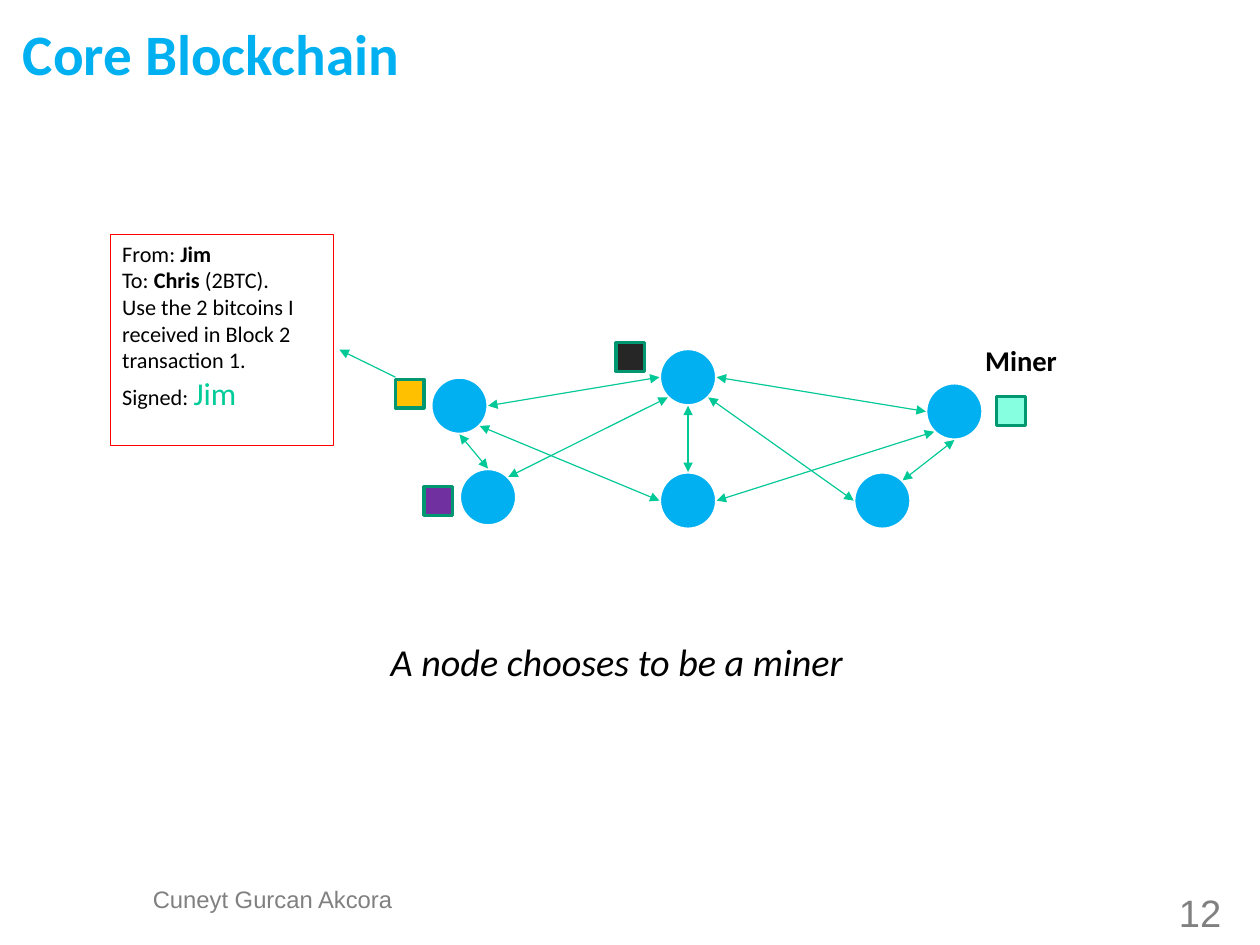
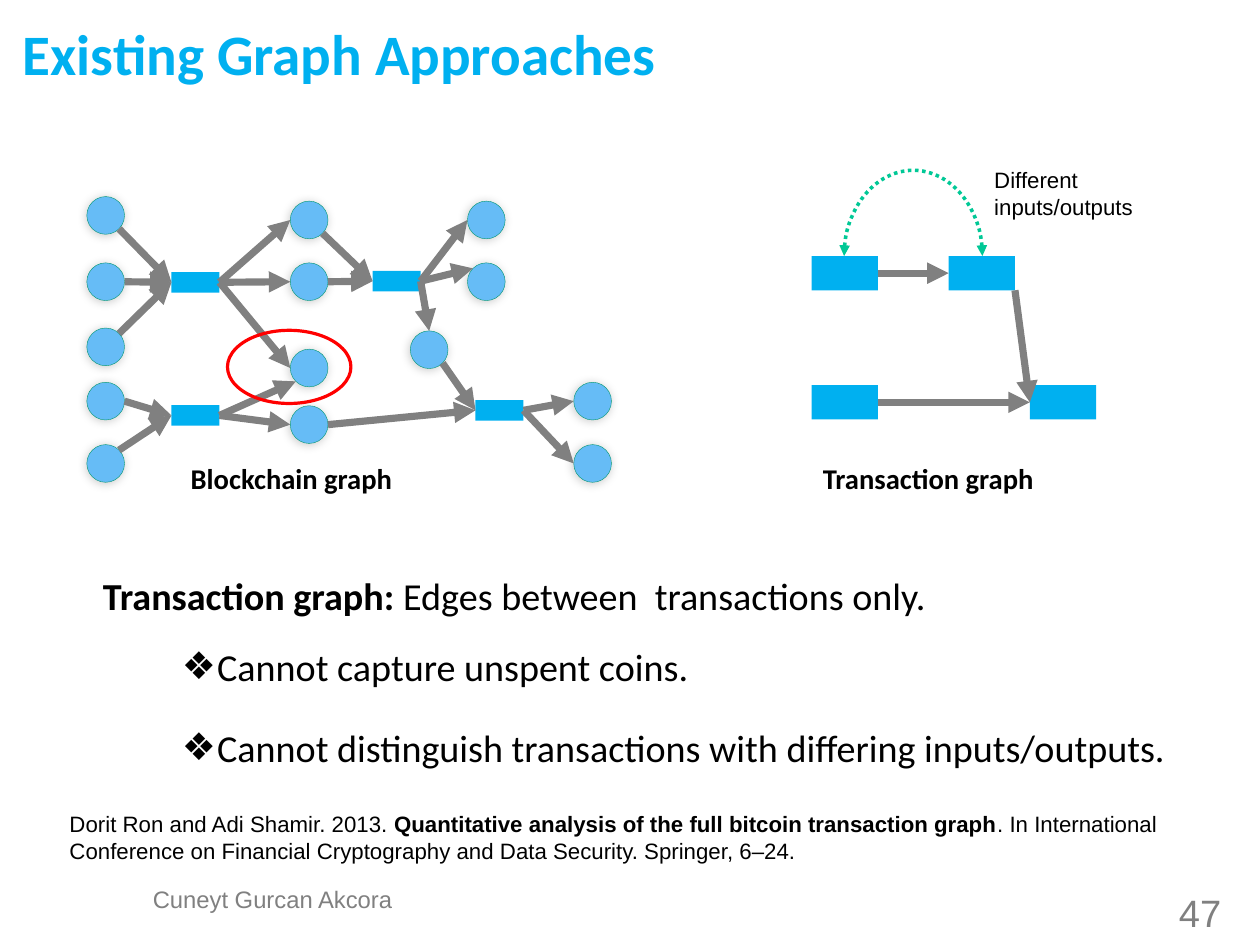
from dataclasses import dataclass
from enum import Enum
from math import hypot
from typing import NamedTuple

from lxml.etree import SubElement
from pptx import Presentation
from pptx.dml.color import RGBColor
from pptx.enum.dml import MSO_LINE
from pptx.enum.shapes import MSO_CONNECTOR, MSO_SHAPE
from pptx.enum.text import MSO_ANCHOR, MSO_AUTO_SIZE, PP_ALIGN
from pptx.oxml.ns import qn
from pptx.util import Cm, Inches, Pt


@dataclass(frozen=True)
class Theme:
    blue: str = "00B0F0"
    sky: str = "66BCF6"
    green: str = "00C896"
    signature: str = "00CC99"
    dark_green: str = "009771"
    grey: str = "808080"
    red: str = "FF0000"
    black: str = "000000"
    white: str = "FFFFFF"
    heading_font: str = "Calibri"
    plain_font: str = "Arial"
    title: int = 36
    body: int = 24
    signed: int = 20
    caption: int = 18
    footer: int = 15
    small: int = 14


THEME = Theme()
TITLE_ONLY, TITLE_AND_BODY = 5, 1


def cells(count: float) -> int:
    """Length of a number of grid cells; ten cells make an inch."""
    return Inches(count / 10)


class Area(NamedTuple):
    column: float
    row: float
    columns: float
    rows: float

    def lengths(self) -> list[int]:
        return [cells(value) for value in self]


def centred(column: float, row: float, columns: float, rows: float) -> Area:
    return Area(column - columns / 2, row - rows / 2, columns, rows)


class Span(NamedTuple):
    text: str
    size: int = THEME.body
    bold: bool = False
    italic: bool = False
    color: str = THEME.black
    font: str = THEME.heading_font


class Outline(NamedTuple):
    color: str
    points: float


class Port(Enum):
    """Direction from the middle of a node to a point on its outline."""
    N = (0, -1)
    NE = (1, -1)
    E = (1, 0)
    SE = (1, 1)
    S = (0, 1)
    SW = (-1, 1)
    W = (-1, 0)
    NW = (-1, -1)


RECTANGLE_SITES = {Port.N: 0, Port.W: 1, Port.S: 2, Port.E: 3}


class Edge(NamedTuple):
    start: str
    start_port: Port
    end: str
    end_port: Port


def color_of(value: str) -> RGBColor:
    return RGBColor.from_string(value)


def write_spans(paragraph, spans: list[Span]) -> None:
    for span in spans:
        run = paragraph.add_run()
        run.text = span.text
        font = run.font
        font.name, font.size = span.font, Pt(span.size)
        font.bold, font.italic = span.bold, span.italic
        font.color.rgb = color_of(span.color)


def write_frame(frame, lines: list[list[Span]], align=PP_ALIGN.LEFT, tight: bool = False,
                spacing: float = 1.0) -> None:
    frame.word_wrap = True
    frame.auto_size = MSO_AUTO_SIZE.NONE
    frame.vertical_anchor = MSO_ANCHOR.TOP
    if tight:
        frame.margin_left = frame.margin_right = frame.margin_top = frame.margin_bottom = 0
    for index, spans in enumerate(lines):
        paragraph = frame.add_paragraph() if index else frame.paragraphs[0]
        paragraph.alignment = align
        paragraph.line_spacing = spacing
        write_spans(paragraph, spans)


def add_text(page, area: Area, *spans: Span, **layout) -> None:
    write_frame(page.shapes.add_textbox(*area.lengths()).text_frame, [list(spans)], **layout)


def add_figure(page, kind, area: Area, fill: str | None = None, outline: Outline | None = None):
    figure = page.shapes.add_shape(kind, *area.lengths())
    if fill:
        figure.fill.solid()
        figure.fill.fore_color.rgb = color_of(fill)
    else:
        figure.fill.background()
    if outline:
        figure.line.color.rgb = color_of(outline.color)
        figure.line.width = Pt(outline.points)
    else:
        figure.line.fill.background()
    figure.shadow.inherit = False
    return figure


def add_soft_shadow(figure) -> None:
    effects = figure._element.spPr.find(qn("a:effectLst"))
    shadow = SubElement(effects, qn("a:outerShdw"), blurRad=str(Pt(6)), dist=str(Pt(1)),
                        dir=str(135 * 60000), rotWithShape="0")
    color = SubElement(shadow, qn("a:srgbClr"), val=THEME.black)
    SubElement(color, qn("a:alpha"), val="20000")


def add_arrowheads(figure, both: bool) -> None:
    line = figure.line._get_or_add_ln()
    for end in ("a:headEnd", "a:tailEnd") if both else ("a:tailEnd",):
        SubElement(line, qn(end), type="triangle")


def add_arrow(page, start: tuple[int, int], end: tuple[int, int], outline: Outline,
              both: bool = False):
    arrow = page.shapes.add_connector(MSO_CONNECTOR.STRAIGHT, *start, *end)
    arrow.line.color.rgb = color_of(outline.color)
    arrow.line.width = Pt(outline.points)
    add_arrowheads(arrow, both)
    SubElement(arrow._element.spPr, qn("a:effectLst"))
    return arrow


def port_point(node, port: Port) -> tuple[int, int]:
    across, down = port.value
    reach = hypot(across, down) if node.auto_shape_type == MSO_SHAPE.OVAL else 1
    return (round(node.left + node.width / 2 * (1 + across / reach)),
            round(node.top + node.height / 2 * (1 + down / reach)))


def add_edges(page, nodes: dict, edges: list[Edge], outline: Outline, both: bool = False) -> None:
    for edge in edges:
        start, end = nodes[edge.start], nodes[edge.end]
        arrow = add_arrow(page, port_point(start, edge.start_port),
                          port_point(end, edge.end_port), outline, both)
        for node, port, connect in ((start, edge.start_port, arrow.begin_connect),
                                    (end, edge.end_port, arrow.end_connect)):
            if node.auto_shape_type == MSO_SHAPE.RECTANGLE and port in RECTANGLE_SITES:
                connect(node, RECTANGLE_SITES[port])


def add_page(deck, layout: int, title: str, number: int):
    page = deck.slides.add_slide(deck.slide_layouts[layout])
    heading = page.shapes.title
    heading.left, heading.top, heading.width, heading.height = Area(2, 1.5, 99.2, 5.5).lengths()
    write_frame(heading.text_frame, [[Span(title, THEME.title, True, color=THEME.blue)]],
                tight=True, spacing=1.02)
    for area, text, size in (
            (Area(13, 77.6, 21.7, 3.7), "Cuneyt Gurcan Akcora", THEME.footer),
            (Area(100, 78.2, 10, 4), str(number), THEME.body)):
        add_text(page, area, Span(text, size, color=THEME.grey, font=THEME.plain_font),
                 align=PP_ALIGN.CENTER, tight=True, spacing=0.93)
    return page


def build_core_blockchain(deck) -> None:
    page = add_page(deck, TITLE_ONLY, "Core Blockchain", 12)
    centres = {"sender": (40.2, 35.5), "hub": (60.2, 33), "miner": (83.5, 36),
               "left": (42.7, 43.5), "middle": (60.2, 43.8), "right": (77.2, 43.8)}
    peers = {name: add_figure(page, MSO_SHAPE.OVAL, centred(*centre, 5, 5), THEME.blue,
                              Outline(THEME.white, 2))
             for name, centre in centres.items()}
    thin = Outline(THEME.green, 0.75)
    add_edges(page, peers, [
        Edge("sender", Port.SE, "middle", Port.W),
        Edge("sender", Port.E, "hub", Port.W),
        Edge("hub", Port.E, "miner", Port.W),
        Edge("middle", Port.E, "miner", Port.SW),
        Edge("middle", Port.N, "hub", Port.S),
        Edge("left", Port.N, "sender", Port.S),
        Edge("left", Port.NE, "hub", Port.SW),
        Edge("right", Port.NE, "miner", Port.S),
        Edge("hub", Port.SE, "right", Port.W),
    ], thin, both=True)
    for column, row, fill in ((34.6, 33.2, "FFC000"), (87.2, 34.7, "85FFE0"),
                              (53.9, 30, "262626"), (37.1, 42.6, "7030A0")):
        add_figure(page, MSO_SHAPE.RECTANGLE, Area(column, row, 2.5, 2.5), fill,
                   Outline(THEME.dark_green, 2))
    add_text(page, Area(85.2, 29.5, 9.1, 4), Span("Miner", THEME.caption, True))

    message = add_figure(page, MSO_SHAPE.RECTANGLE, Area(9.7, 20.5, 19.5, 18.5),
                         outline=Outline(THEME.red, 0.75))
    write_frame(message.text_frame, [
        [Span("From: ", THEME.small), Span("Jim", THEME.small, True)],
        [Span("To: ", THEME.small), Span("Chris ", THEME.small, True),
         Span("(2BTC).", THEME.small)],
        [Span("Use the 2 bitcoins I received in Block 2 transaction 1.", THEME.small)],
        [Span("Signed: ", THEME.small), Span("Jim", THEME.signed, color=THEME.signature)],
    ])
    add_arrow(page, (cells(34.6), cells(33)), (cells(29.7), cells(30.6)), thin)
    add_text(page, Area(33.2, 55.4, 42, 5), Span("A node chooses to be a miner", italic=True))


def add_blockchain_graph(page, thick: Outline) -> None:
    addresses = {
        "in1": (9.25, 18.85), "in2": (9.25, 24.65), "in3": (9.25, 30.35),
        "in4": (9.25, 35.1), "in5": (9.25, 40.55),
        "mid1": (27.05, 19.25), "mid2": (27.05, 24.65), "mid3": (27.05, 32.2),
        "mid4": (27.05, 37.15),
        "out1": (42.55, 19.25), "out2": (42.55, 24.65), "out3": (37.55, 30.6),
        "last1": (51.85, 35.1), "last2": (51.85, 40.55)}
    transactions = {"tx1": (17.1, 24.7), "tx2": (17.1, 36.35), "tx3": (34.7, 24.6),
                    "tx4": (43.7, 35.9)}
    nodes = {}
    for name, centre in addresses.items():
        nodes[name] = add_figure(page, MSO_SHAPE.OVAL, centred(*centre, 3.3, 3.3), THEME.sky,
                                 Outline(THEME.dark_green, 0.25))
        add_soft_shadow(nodes[name])
    for name, centre in transactions.items():
        nodes[name] = add_figure(page, MSO_SHAPE.RECTANGLE, centred(*centre, 4.2, 1.8),
                                 THEME.blue)
    inputs = {"tx1": [("in1", Port.SE), ("in2", Port.E), ("in3", Port.NE)],
              "tx2": [("in4", Port.E), ("in5", Port.NE)],
              "tx3": [("mid1", Port.SE), ("mid2", Port.E)],
              "tx4": [("out3", Port.SE), ("mid4", Port.E)]}
    outputs = {"tx1": [("mid1", Port.W), ("mid2", Port.W), ("mid3", Port.W)],
               "tx2": [("mid3", Port.SW), ("mid4", Port.W)],
               "tx3": [("out1", Port.W), ("out2", Port.NW), ("out3", Port.N)],
               "tx4": [("last1", Port.W), ("last2", Port.W)]}
    edges = [Edge(name, port, target, Port.W)
             for target, sources in inputs.items() for name, port in sources]
    edges += [Edge(source, Port.E, name, port)
              for source, targets in outputs.items() for name, port in targets]
    add_edges(page, nodes, edges, thick)
    add_figure(page, MSO_SHAPE.OVAL, Area(19.9, 28.9, 10.8, 6.4), outline=Outline(THEME.red, 2))
    add_text(page, Area(15.7, 39.8, 22.2, 4), Span("Blockchain graph", THEME.caption, True))


def add_transaction_graph(page, thick: Outline) -> None:
    centres = {"first": (73.9, 23.9), "second": (85.9, 23.9), "third": (73.9, 35.2),
               "last": (93, 35.2)}
    nodes = {name: add_figure(page, MSO_SHAPE.RECTANGLE, centred(*centre, 5.8, 3), THEME.blue)
             for name, centre in centres.items()}
    add_edges(page, nodes, [Edge("first", Port.E, "second", Port.W),
                            Edge("third", Port.E, "last", Port.W),
                            Edge("second", Port.SE, "last", Port.W)], thick)
    arc = add_figure(page, MSO_SHAPE.ARC, centred(79.9, 22.4, 12.1, 15),
                     outline=Outline(THEME.green, 2.25))
    arc.adjustments[0], arc.adjustments[1] = 108, 0  # upper half of the ellipse
    arc.line.dash_style = MSO_LINE.ROUND_DOT
    add_arrowheads(arc, both=True)
    add_text(page, Area(86, 14.1, 17.5, 5.7),
             Span("Different inputs/outputs", THEME.small, font=THEME.plain_font))
    add_text(page, Area(71, 39.8, 22.2, 4), Span("Transaction graph", THEME.caption, True))


def build_graph_approaches(deck) -> None:
    page = add_page(deck, TITLE_AND_BODY, "Existing Graph Approaches", 47)
    thick = Outline(THEME.grey, 4.5)
    add_blockchain_graph(page, thick)
    add_transaction_graph(page, thick)

    body = page.placeholders[1]
    body.left, body.top, body.width, body.height = Area(8, 49.6, 97.2, 18.4).lengths()
    write_frame(body.text_frame, [
        [Span("Transaction graph:", bold=True), Span(" Edges between  transactions only.")],
        [Span("Cannot capture unspent coins.")],
        [Span("Cannot distinguish transactions with differing inputs/outputs.")],
    ])
    for paragraph, before in zip(body.text_frame.paragraphs, (0, 16, 22)):
        paragraph.space_before = Pt(before)
        properties = paragraph._p.get_or_add_pPr()
        bulleted = before > 0
        properties.set("marL", str(cells(10 if bulleted else 0)))
        properties.set("indent", str(cells(-3.1 if bulleted else 0)))
        if bulleted:
            SubElement(properties, qn("a:buFont"), typeface=THEME.plain_font)
            SubElement(properties, qn("a:buChar"), char="❖")
        else:
            SubElement(properties, qn("a:buNone"))

    citation = (("Dorit Ron and Adi Shamir. 2013. ", False),
                ("Quantitative analysis of the full bitcoin transaction graph", True),
                (". In International Conference on Financial Cryptography and Data Security. "
                 "Springer, 6–24.", False))
    add_text(page, Area(5.1, 70.4, 100, 5.7),
             *(Span(text, THEME.small, bold, font=THEME.plain_font) for text, bold in citation))


def main() -> None:
    deck = Presentation()
    deck.slide_width, deck.slide_height = Cm(28), Cm(21)
    build_core_blockchain(deck)
    build_graph_approaches(deck)
    deck.save("out.pptx")


if __name__ == "__main__":
    main()
